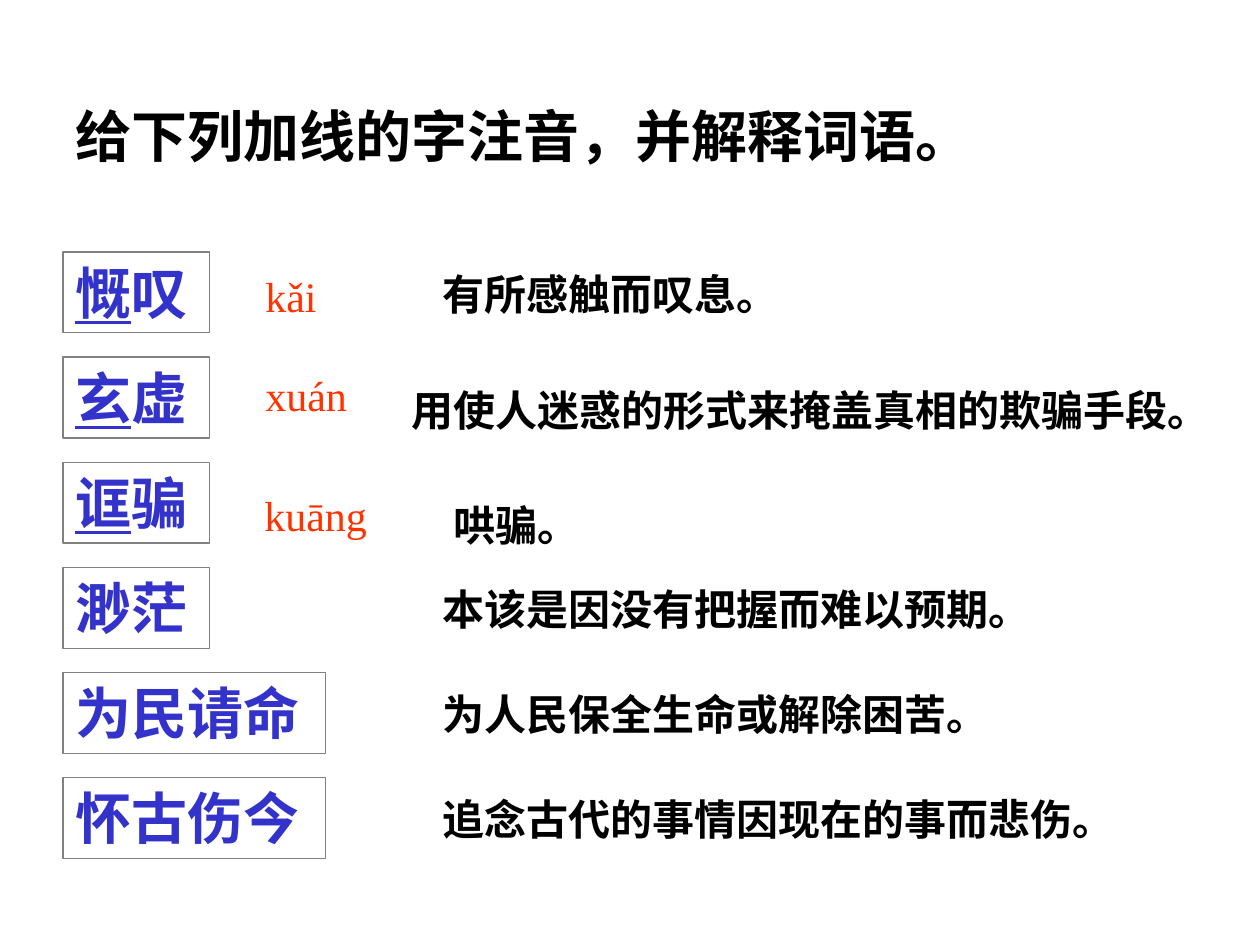
"""Build a vocabulary slide: underlined words, their pinyin and their meanings."""
from pptx import Presentation
from pptx.dml.color import RGBColor
from pptx.enum.shapes import MSO_SHAPE
from pptx.enum.text import MSO_ANCHOR, MSO_AUTO_SIZE, PP_ALIGN
from pptx.util import Cm, Pt

FONT = "Times New Roman"
BLACK, BLUE, RED = "000000", "3333CC", "FF3300"
WHITE, GREY = "FFFFFF", "808080"

TITLE = "给下列加线的字注音，并解释词语。"
WORDS = [("慨", "叹"), ("玄", "虚"), ("诓", "骗"),
         ("", "渺茫"), ("", "为民请命"), ("", "怀古伤今")]
SOUNDS = [("kǎi", 5.1, 5.33, 3.18), ("xuán", 5.1, 7.32, 3.18),
          ("kuāng", 5.08, 9.74, 3.39)]
SENSES = [("有所感触而叹息。", 8.68, 5.29, 7.83),
          ("用使人迷惑的形式来掩盖真相的欺骗手段。", 8.04, 7.62, 16.72),
          ("哄骗。", 8.89, 9.95, 4.45),
          ("本该是因没有把握而难以预期。", 8.68, 11.64, 12.9),
          ("为人民保全生命或解除困苦。", 8.68, 13.76, 12.07),
          ("追念古代的事情因现在的事而悲伤。", 8.68, 15.88, 14.61)]

LEFT, TOP, STEP = 1.27, 5.08, 2.12
TALL, LOW = 1.63, 1.27
WIDTHS = {2: 2.96, 4: 5.29}


def tint(code):
    """Turn a hex string into a colour."""
    return RGBColor.from_string(code)


def add_box(slide, runs, place, size, hue, bold=True, edge=None):
    """Add a white box whose runs are (text, underlined) pairs."""
    box = slide.shapes.add_shape(MSO_SHAPE.RECTANGLE, *map(Cm, place))
    box.shadow.inherit = False
    box.fill.solid()
    box.fill.fore_color.rgb = tint(WHITE)
    if edge:
        box.line.color.rgb = tint(edge)
        box.line.width = Pt(0.75)
    else:
        box.line.fill.background()
    frame = box.text_frame
    frame.word_wrap = True
    frame.auto_size = MSO_AUTO_SIZE.SHAPE_TO_FIT_TEXT
    frame.vertical_anchor = MSO_ANCHOR.TOP
    line = frame.paragraphs[0]
    line.alignment = PP_ALIGN.LEFT
    for text, under in runs:
        run = line.add_run()
        run.text = text
        font = run.font
        font.name, font.size, font.bold = FONT, Pt(size), bold
        font.underline = under
        font.color.rgb = tint(hue)


def main():
    """Lay out the slide and save it."""
    deck = Presentation()
    deck.slide_width, deck.slide_height = Cm(25.4), Cm(19.05)
    slide = deck.slides.add_slide(deck.slide_layouts[6])
    add_box(slide, [(TITLE, False)], (LEFT, 1.93, 20.24, TALL), 32, BLACK, edge=WHITE)
    for row, (mark, rest) in enumerate(WORDS):
        runs = [(text, under) for text, under in ((mark, True), (rest, False)) if text]
        place = (LEFT, TOP + row * STEP, WIDTHS[len(mark + rest)], TALL)
        add_box(slide, runs, place, 32, BLUE, edge=GREY)
    for group, hue, bold in ((SOUNDS, RED, False), (SENSES, BLACK, True)):
        for text, left, top, width in group:
            add_box(slide, [(text, False)], (left, top, width, LOW), 24, hue, bold)
    deck.save("out.pptx")


if __name__ == "__main__":
    main()
